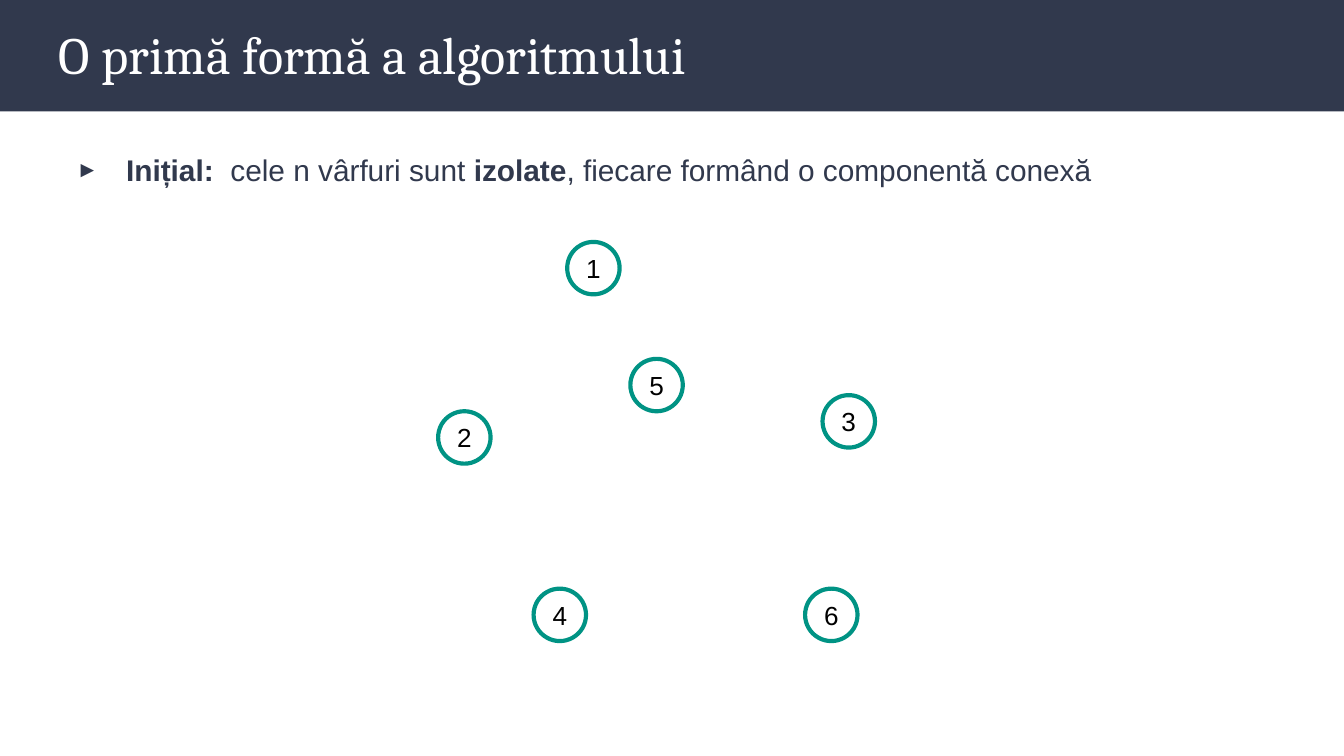
from lxml import etree
from pptx import Presentation
from pptx.dml.color import RGBColor
from pptx.enum.shapes import MSO_SHAPE
from pptx.enum.text import MSO_ANCHOR, PP_ALIGN
from pptx.oxml.ns import qn
from pptx.util import Pt

RECT, OVAL = MSO_SHAPE.RECTANGLE, MSO_SHAPE.OVAL
TOP, MIDDLE = MSO_ANCHOR.TOP, MSO_ANCHOR.MIDDLE
LEFT, CENTER = PP_ALIGN.LEFT, PP_ALIGN.CENTER

# Content: each run is (text, bold)
TITLE = [("O primă formă a algoritmului", False)]
BODY = [
    ("Inițial:  ", True),
    ("cele n vârfuri sunt ", False),
    ("izolate", True),
    (", fiecare formând o componentă conexă", False),
]
# Graph nodes: label -> left, top
NODES = {
    "1": (303.84, 129.6),
    "2": (234.72, 220.32),
    "5": (337.68, 192.24),
    "6": (431.28, 315.36),
    "4": (285.84, 315.36),
    "3": (440.64, 211.68),
}
COLORS = {"navy": "31394D", "teal": "009384", "white": "FFFFFF", "black": "000000"}
WIDE, HIGH = 720, 405
BAND = 59.76
NODE = 28.08
MARGIN = 24.48


def color(name):
    return RGBColor.from_string(COLORS[name])


def write(shape, runs, size, ink, font="Arial", align=LEFT, anchor=TOP, inset=7.2):
    frame = shape.text_frame
    frame.word_wrap = True
    frame.vertical_anchor = anchor
    frame.margin_left = frame.margin_right = Pt(inset)
    frame.margin_top = frame.margin_bottom = Pt(inset)
    para = frame.paragraphs[0]
    para.alignment = align
    for text, bold in runs:
        run = para.add_run()
        run.text = text
        run.font.size = Pt(size)
        run.font.name = font
        run.font.bold = bold
        run.font.color.rgb = color(ink)
    return para


def bullet(para, char, ink, left, hang, scale, font="Arial"):
    props = para._p.get_or_add_pPr()
    props.set("marL", str(Pt(left)))
    props.set("indent", str(-Pt(hang)))
    tint = etree.SubElement(props, qn("a:buClr"))
    etree.SubElement(tint, qn("a:srgbClr"), val=COLORS[ink])
    etree.SubElement(props, qn("a:buSzPct"), val=str(scale * 1000))
    etree.SubElement(props, qn("a:buFont"), typeface=font)
    etree.SubElement(props, qn("a:buChar"), char=char)


deck = Presentation()
deck.slide_width, deck.slide_height = Pt(WIDE), Pt(HIGH)
slide = deck.slides.add_slide(deck.slide_layouts[6])
shapes = slide.shapes

# Title band
band = shapes.add_shape(RECT, 0, 0, Pt(WIDE), Pt(BAND))
band.shadow.inherit = False
band.fill.solid()
band.fill.fore_color.rgb = color("navy")
band.line.fill.background()

# Title and body text
inner = Pt(WIDE - 2 * MARGIN)
title = shapes.add_textbox(Pt(MARGIN), Pt(4.32), inner, Pt(48.96))
write(title, TITLE, 28, "white", font="Cambria", anchor=MIDDLE)
body = shapes.add_textbox(Pt(MARGIN), Pt(71.28), inner, Pt(295.92))
point = write(body, BODY, 16, "navy")
point.line_spacing = 1.15
bullet(point, "►", "navy", left=36, hang=26.64, scale=75)

# Isolated nodes
for label, (left, top) in NODES.items():
    node = shapes.add_shape(OVAL, Pt(left), Pt(top), Pt(NODE), Pt(NODE))
    node.shadow.inherit = False
    node.fill.background()
    node.line.color.rgb = color("teal")
    node.line.width = Pt(2.25)
    write(node, [(label, False)], 14, "black", align=CENTER, anchor=MIDDLE, inset=1.44)

deck.save("out.pptx")
